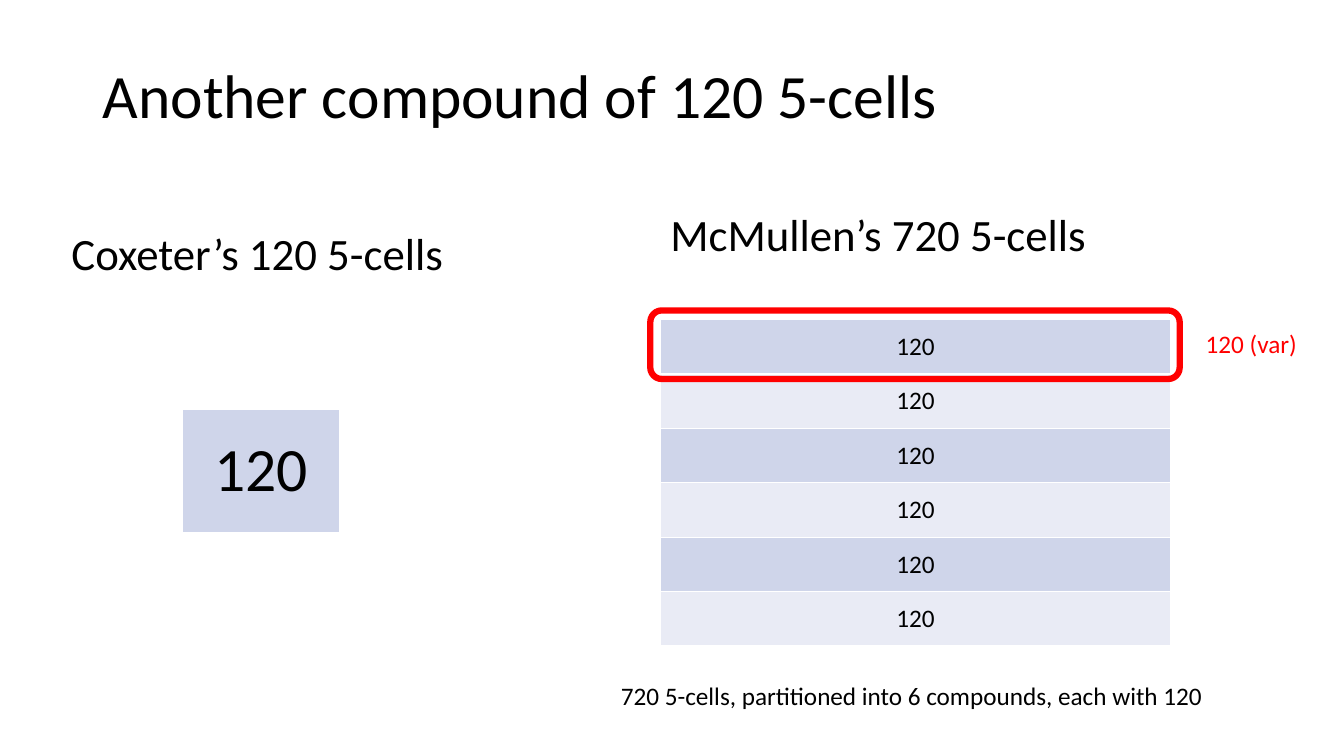
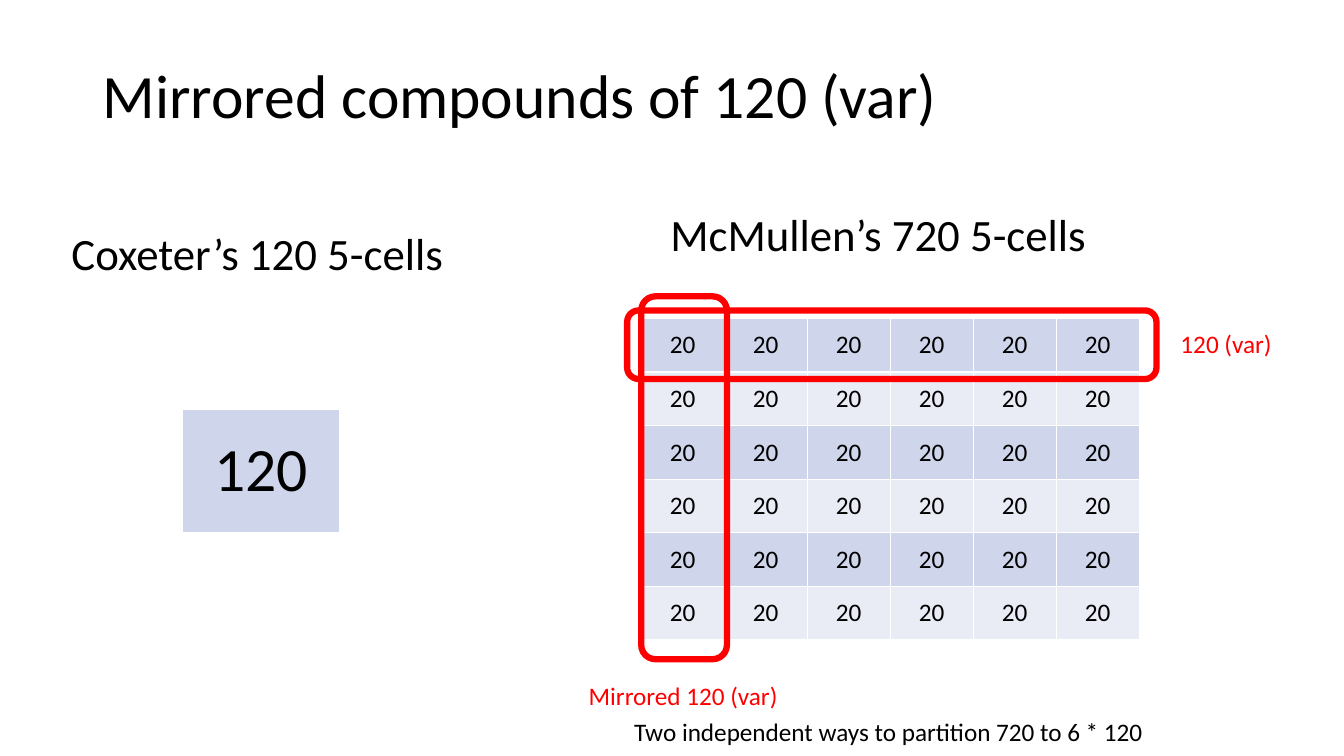
from dataclasses import dataclass
from itertools import product

from lxml.etree import SubElement
from pptx import Presentation
from pptx.dml.color import RGBColor
from pptx.enum.shapes import MSO_SHAPE
from pptx.enum.text import MSO_ANCHOR, MSO_AUTO_SIZE, PP_ALIGN
from pptx.oxml.ns import qn
from pptx.util import Inches, Pt


@dataclass(frozen=True)
class Theme:
    font: str = "Calibri"
    ink: RGBColor = RGBColor(0, 0, 0)
    accent: RGBColor = RGBColor(0xFF, 0, 0)
    bands: tuple = (RGBColor(0xCF, 0xD5, 0xEA), RGBColor(0xE9, 0xEB, 0xF5))
    border: str = "FFFFFF"
    border_width: int = Pt(1)
    outline_width: int = Pt(4.5)
    title: int = Pt(44)
    heading: int = Pt(32)
    body: int = Pt(18)


THEME = Theme()


def set_attributes(target, values):
    for name, value in values.items():
        setattr(target, name, value)


def write(frame, text, size, color=THEME.ink, **para_format):
    """Put one formatted line of text into a text frame."""
    para = frame.paragraphs[0]
    set_attributes(para, para_format)
    span = para.add_run()
    span.text = text
    set_attributes(span.font, {"name": THEME.font, "size": size})
    span.font.color.rgb = color


def add_text(page, box, text, size, color=THEME.ink, wrap=True):
    frame = page.shapes.add_textbox(*map(Inches, box)).text_frame
    set_attributes(frame, {"word_wrap": wrap,
                           "auto_size": MSO_AUTO_SIZE.SHAPE_TO_FIT_TEXT})
    write(frame, text, size, color)


def add_title(page, box, text):
    frame = page.shapes.add_textbox(*map(Inches, box)).text_frame
    set_attributes(frame, {"word_wrap": True,
                           "vertical_anchor": MSO_ANCHOR.MIDDLE})
    write(frame, text, THEME.title, line_spacing=0.9)


def add_borders(cell):
    properties = cell._tc.get_or_add_tcPr()
    for side in ("lnL", "lnR", "lnT", "lnB"):
        line = SubElement(properties, qn(f"a:{side}"), w=str(THEME.border_width))
        fill = SubElement(line, qn("a:solidFill"))
        SubElement(fill, qn("a:srgbClr"), val=THEME.border)


def add_grid(page, box, rows, columns, text, size):
    """Fill the box with a banded table that repeats one text."""
    left, top, width, height = map(Inches, box)
    table = page.shapes.add_table(rows, columns, left, top, width, height).table
    set_attributes(table, {"first_row": False, "horz_banding": False})
    for row, column in product(range(rows), range(columns)):
        cell = table.cell(row, column)
        add_borders(cell)
        cell.fill.solid()
        cell.fill.fore_color.rgb = THEME.bands[row % 2]
        cell.vertical_anchor = MSO_ANCHOR.MIDDLE
        write(cell.text_frame, text, size, alignment=PP_ALIGN.CENTER)


def add_outline(page, box):
    outline = page.shapes.add_shape(MSO_SHAPE.ROUNDED_RECTANGLE, *map(Inches, box))
    outline.shadow.inherit = False
    outline.fill.background()
    outline.line.color.rgb = THEME.accent
    outline.line.width = THEME.outline_width


def add_row_mark(page, left, label_left):
    """Outline the first row and label it on the right."""
    add_outline(page, (left, 3.08, 5.25, 0.68))
    add_text(page, (label_left, 3.21, 1.12, 0.4), "120 (var)",
             THEME.body, THEME.accent, wrap=False)


def add_coxeter(page, left, top):
    add_text(page, (left, top, 3.98, 0.64), "Coxeter’s 120 5-cells", THEME.heading)
    add_grid(page, (left + 1.2, top + 1.87, 1.56, 1.22), 1, 1, "120", THEME.title)


def add_comparison(deck, title, grid_box, columns, text):
    """Start a slide with the title, Coxeter's cell and McMullen's grid."""
    page = deck.slides.add_slide(deck.slide_layouts[6])
    add_title(page, (0.92, 0.4, 11.5, 1.16), title)
    add_coxeter(page, 0.61, 2.19)
    add_text(page, (6.55, 2, 4.76, 0.64), "McMullen’s 720 5-cells", THEME.heading)
    add_grid(page, grid_box, 6, columns, text, THEME.body)
    return page


def build_another_compound(deck):
    page = add_comparison(deck, "Another compound of 120 5-cells",
                          (6.55, 3.17, 5.06, 3.24), 1, "120")
    add_row_mark(page, 6.45, 11.86)
    add_text(page, (6.06, 6.7, 6.04, 0.4),
             "720 5-cells, partitioned into 6 compounds, each with 120",
             THEME.body, wrap=False)


def build_mirrored_compounds(deck):
    page = add_comparison(deck, "Mirrored compounds of 120 (var)",
                          (6.36, 3.16, 4.94, 3.19), 6, "20")
    add_row_mark(page, 6.22, 11.61)
    # First column mark
    add_outline(page, (6.36, 2.94, 0.85, 3.6))
    add_text(page, (5.74, 6.7, 2.11, 0.4), "Mirrored 120 (var)",
             THEME.body, THEME.accent)
    add_text(page, (6.19, 7.06, 5.31, 0.4),
             "Two independent ways to partition 720 to 6 * 120",
             THEME.body, wrap=False)


def main():
    deck = Presentation()
    set_attributes(deck, {"slide_width": Inches(13.33),
                          "slide_height": Inches(7.5)})
    build_another_compound(deck)
    build_mirrored_compounds(deck)
    deck.save("out.pptx")


if __name__ == "__main__":
    main()
